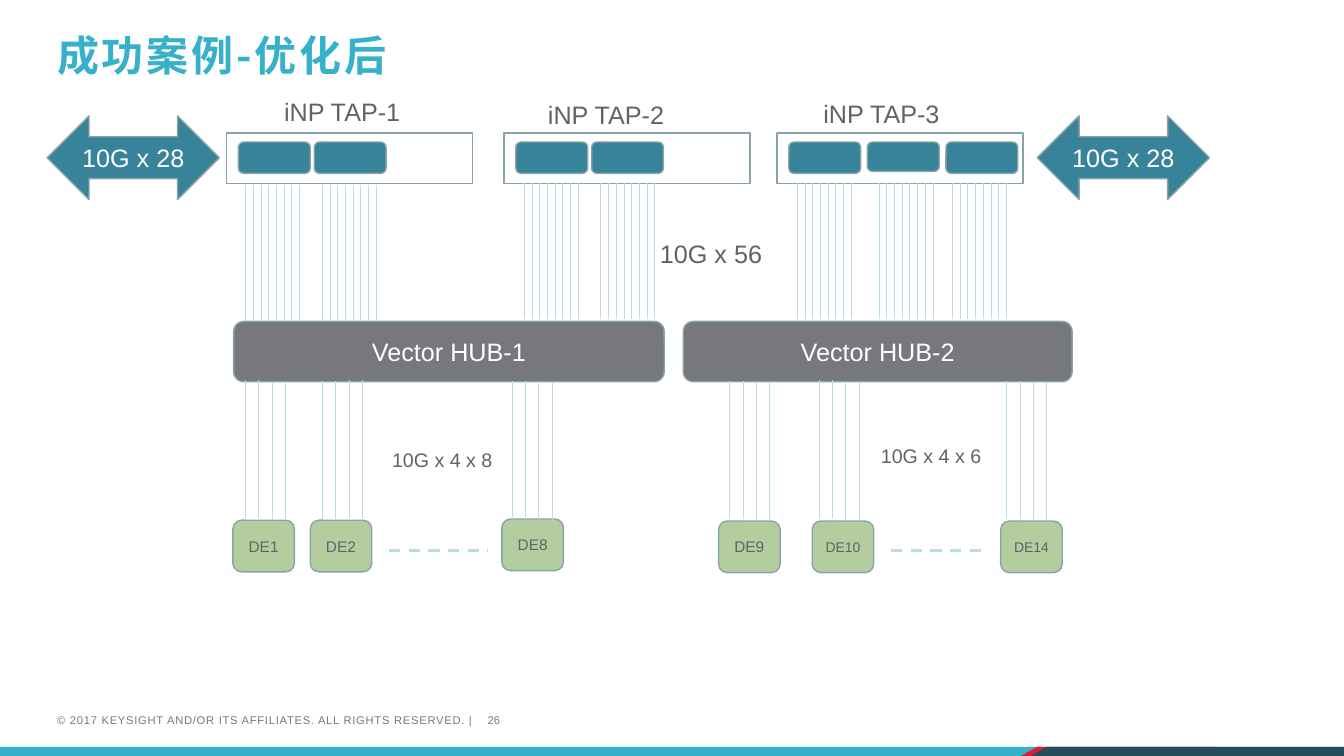
"""Build the slide that shows the optimised bypass and packet broker layout."""
import dataclasses

import lxml.etree
import pptx
import pptx.dml.color
import pptx.enum.dml
import pptx.enum.shapes
import pptx.enum.text
import pptx.oxml.ns
import pptx.util

Cm = pptx.util.Cm
Pt = pptx.util.Pt
Shapes = pptx.enum.shapes.MSO_SHAPE
Anchor = pptx.enum.text.MSO_ANCHOR
Align = pptx.enum.text.PP_ALIGN


@dataclasses.dataclass(frozen=True)
class Theme:
    """Colours, fonts and type sizes of the slide."""
    cyan: str = "37B0C9"
    red: str = "E31837"
    navy: str = "244C5A"
    teal: str = "378399"
    edge: str = "8AA3AA"
    grey: str = "76787C"
    green: str = "B3CD9E"
    link: str = "BADCE6"
    ink: str = "5F6369"
    white: str = "FFFFFF"
    body_font: str = "Arial"
    title_font: str = "Noto Sans CJK SC"
    title: float = 30
    large: float = 18
    medium: float = 14
    node: float = 11
    node_small: float = 10
    footer: float = 8


THEME = Theme()
VHD_TOP = 3.35
STRIP_TOP, STRIP_HEIGHT = 18.82, 0.23


def rgb(code):
    """Turn a hex code into a colour."""
    return pptx.dml.color.RGBColor.from_string(code)


def write(frame, text, size, color, font=THEME.body_font, bold=False, spacing=0):
    """Put one formatted span into the first paragraph and return the paragraph."""
    para = frame.paragraphs[0]
    span = para.add_run()
    span.text = text
    for name, value in {"size": Pt(size), "name": font, "bold": bold}.items():
        setattr(span.font, name, value)
    span.font.color.rgb = rgb(color)
    properties = span._r.get_or_add_rPr()
    if spacing:
        properties.set("spc", str(int(spacing * 100)))
    lxml.etree.SubElement(properties, pptx.oxml.ns.qn("a:ea"), typeface=font)
    return para


def paint(shape, fill=None, edge=None):
    """Set the fill and outline of a shape and drop its shadow."""
    shape.shadow.inherit = False
    if fill:
        shape.fill.solid()
        shape.fill.fore_color.rgb = rgb(fill)
    else:
        shape.fill.background()
    if edge:
        shape.line.color.rgb = rgb(edge)
        shape.line.width = Pt(1)
    else:
        shape.line.fill.background()


def add_block(page, kind, place, fill=None, edge=THEME.edge, text="",
              size=THEME.large, color=THEME.white):
    """Draw a preset shape with optional centred text."""
    shape = page.shapes.add_shape(kind, *map(Cm, place))
    paint(shape, fill, edge)
    if text:
        shape.text_frame.vertical_anchor = Anchor.MIDDLE
        write(shape.text_frame, text, size, color).alignment = Align.CENTER


def add_label(page, place, text, size, color=THEME.ink, anchor=Anchor.TOP, **style):
    """Add a wrapped text box and return its paragraph."""
    box = page.shapes.add_textbox(*map(Cm, place))
    for name, value in {"word_wrap": True, "vertical_anchor": anchor}.items():
        setattr(box.text_frame, name, value)
    return write(box.text_frame, text, size, color, **style)


def add_link(page, start, end, width=0.5, dash=None):
    """Draw a straight link line between two points."""
    link = page.shapes.add_connector(
        pptx.enum.shapes.MSO_CONNECTOR.STRAIGHT, *map(Cm, (*start, *end)))
    link.line.color.rgb = rgb(THEME.link)
    link.line.width = Pt(width)
    if dash:
        link.line.dash_style = dash
    lxml.etree.SubElement(link._element.spPr, pptx.oxml.ns.qn("a:effectLst"))


def add_comb(page, left, top, span, height, count, drop=0):
    """Draw evenly spaced vertical links, the right half lowered by drop."""
    for index in range(count):
        x = left + index * span / (count - 1)
        y = top + drop * (index >= count / 2)
        add_link(page, (x, y), (x, y + height))


def add_stripe(page, left, width, color):
    """Draw a footer stripe with a slanted left end."""
    bottom = STRIP_TOP + STRIP_HEIGHT
    builder = page.shapes.build_freeform(Cm(left), Cm(STRIP_TOP), scale=1.0)
    builder.add_line_segments(
        [(Cm(left + 0.41), Cm(bottom)), (Cm(left - 0.41), Cm(bottom))], close=True)
    paint(builder.convert_to_shape(), color)
    add_block(page, Shapes.RECTANGLE, (left, STRIP_TOP, width, STRIP_HEIGHT), color, None)


def add_footer(page):
    """Draw the coloured strip, page number and copyright line."""
    add_block(page, Shapes.RECTANGLE, (0, STRIP_TOP, 33.87, STRIP_HEIGHT), THEME.cyan, None)
    add_stripe(page, 26.14, 4.52, THEME.red)
    add_stripe(page, 26.39, 7.48, THEME.navy)
    add_label(page, (12.04, 17.86, 1.85, 0.61), "26", THEME.footer, THEME.grey)
    add_label(page, (1.19, 17.86, 21.69, 0.61),
              "© 2017 KEYSIGHT AND/OR ITS AFFILIATES. ALL RIGHTS RESERVED. |",
              THEME.footer, THEME.grey, spacing=0.5)


def add_bypass(page, left, pitch, module_heights):
    """Draw a bypass frame with its row of modules."""
    add_block(page, Shapes.RECTANGLE, (left, VHD_TOP, 6.2, 1.27))
    for index, height in enumerate(module_heights):
        add_block(page, Shapes.ROUNDED_RECTANGLE,
                  (left + 0.3 + index * pitch, VHD_TOP + 0.23, 1.81, height), THEME.teal)


def add_title(page):
    """Write the slide title."""
    para = add_label(page, (1.19, 0.36, 31.5, 1.8), "成功案例-优化后", THEME.title, THEME.cyan,
                     Anchor.BOTTOM, font=THEME.title_font, bold=True, spacing=2)
    for name, value in {"line_spacing": 0.9, "space_after": Pt(6)}.items():
        setattr(para, name, value)


def main():
    """Assemble the slide and save it."""
    deck = pptx.Presentation()
    deck.slide_width, deck.slide_height = Cm(33.87), Cm(19.05)
    page = deck.slides.add_slide(deck.slide_layouts[6])
    add_footer(page)

    for left, pitch, heights in ((5.71, 1.91, (0.79, 0.79)), (12.7, 1.91, (0.79, 0.79)),
                                 (19.58, 1.98, (0.79, 0.74, 0.79))):
        add_bypass(page, left, pitch, heights)
    for left, width, text in ((5.89, 10.85, "Vector HUB-1"), (17.22, 9.8, "Vector HUB-2")):
        add_block(page, Shapes.ROUNDED_RECTANGLE, (left, 8.1, width, 1.52), THEME.grey, text=text)

    for left, top, text, size, comb_left, comb_top, drop in (
            (5.87, 13.11, "DE1", THEME.node, 6.19, 9.58, 0.05),
            (7.82, 13.11, "DE2", THEME.node, 8.13, 9.6, -0.03),
            (12.65, 13.08, "DE8", THEME.node, 12.91, 9.6, 0.05),
            (18.11, 13.13, "DE9", THEME.node, 18.39, 9.6, 0.05),
            (20.47, 13.13, "DE10", THEME.node_small, 20.65, 9.58, 0.05),
            (25.22, 13.13, "DE14", THEME.node_small, 25.37, 9.6, 0.05)):
        add_block(page, Shapes.ROUNDED_RECTANGLE, (left, top, 1.55, 1.3),
                  THEME.green, text=text, size=size, color=THEME.ink)
        add_comb(page, comb_left, comb_top, 1, 3.48, 4, drop)

    for start, end in ((9.8, 12.29), (22.45, 24.77)):
        add_link(page, (start, 13.87), (end, 13.87), 2, pptx.enum.dml.MSO_LINE.DASH)
    for top, lefts in ((4.67, (6.19, 8.12)), (4.62, (13.21, 15.14, 20.09, 22.15, 24))):
        for left in lefts:
            add_comb(page, left, top, 1.36, 3.42, 8)

    for place, text, size in (
            ((6.91, 2.31, 4.37, 1.07), "iNP TAP-1", THEME.large),
            ((13.56, 2.39, 4.11, 1.07), "iNP TAP-2", THEME.large),
            ((20.5, 2.36, 4.29, 1.07), "iNP TAP-3", THEME.large),
            ((16.38, 5.87, 3.33, 1.07), "10G x 56", THEME.large),
            ((21.95, 11.07, 3.4, 0.86), "10G x 4 x 6", THEME.medium),
            ((9.63, 11.15, 3.61, 0.86), "10G x 4 x 8", THEME.medium)):
        add_label(page, place, text, size)
    for left in (1.19, 26.14):
        add_block(page, Shapes.LEFT_RIGHT_ARROW, (left, 2.92, 4.34, 2.11),
                  THEME.teal, text="10G x 28")
    add_title(page)
    deck.save("out.pptx")


if __name__ == "__main__":
    main()
